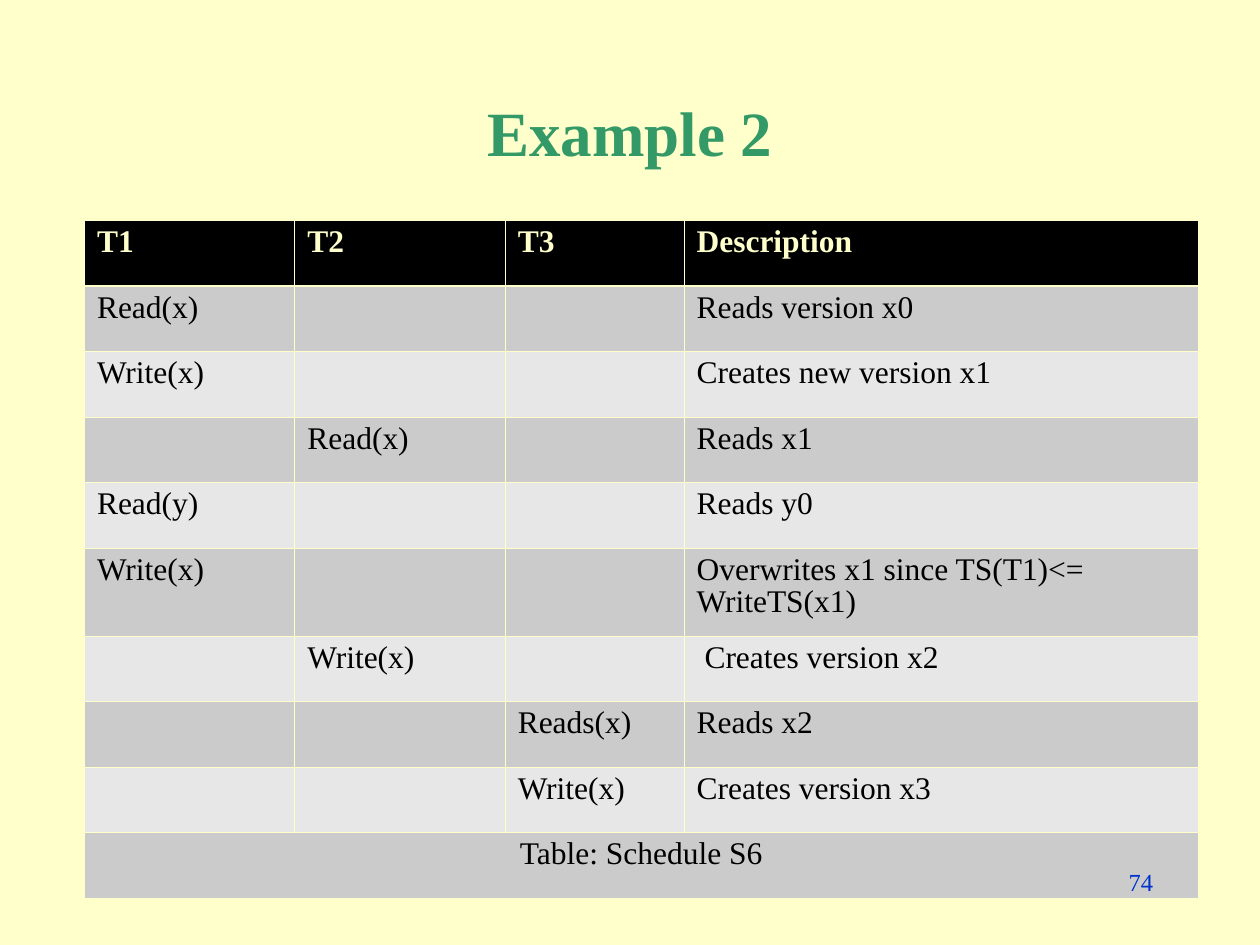
"""Build the slide with a table of schedule S6 under multiversion timestamps."""
from lxml.etree import SubElement
from pptx import Presentation
from pptx.dml.color import RGBColor
from pptx.enum.text import MSO_ANCHOR as Anchor, PP_ALIGN as Align
from pptx.oxml.ns import qn
from pptx.util import Inches, Pt

FONT = "Times New Roman"
CREAM = RGBColor(0xFF, 0xFF, 0xCC)
GREEN = RGBColor(0x33, 0x99, 0x66)
BLUE = RGBColor(0x00, 0x33, 0xCC)
BLACK = RGBColor(0x00, 0x00, 0x00)
BANDS = [RGBColor(0xE7, 0xE7, 0xE7), RGBColor(0xCB, 0xCB, 0xCB)]

TITLE = "Example 2"
NUMBER = "74"
ROWS = [
    ("T1", "T2", "T3", "Description"),
    ("Read(x)", "", "", "Reads version x0"),
    ("Write(x)", "", "", "Creates new version x1"),
    ("", "Read(x)", "", "Reads x1"),
    ("Read(y)", "", "", "Reads y0"),
    ("Write(x)", "", "", "Overwrites x1 since TS(T1)<= WriteTS(x1)"),
    ("", "Write(x)", "", " Creates version x2"),
    ("", "", "Reads(x)", "Reads x2"),
    ("", "", "Write(x)", "Creates version x3"),
    ("Table: Schedule S6", "", "", ""),
]
WIDTHS = [1.67, 1.67, 1.42, 4.08]
HIGH, TALL, TALL_ROW = 0.52, 0.7, 5
THIN, THICK = 0.45, 1.47


def write(frame, text, size, color, align=Align.LEFT, bold=False):
    par = frame.paragraphs[0]
    par.text = text
    par.alignment = align
    font = par.font
    font.name, font.size, font.bold = FONT, Pt(size), bold
    font.color.rgb = color
    return par


def border(cell, row):
    props = cell._tc.get_or_add_tcPr()
    thick = {0: "lnB", 1: "lnT"}.get(row)
    for side in ("lnL", "lnR", "lnT", "lnB"):
        width = THICK if side == thick else THIN
        line = SubElement(props, qn(f"a:{side}"), w=str(Pt(width)))
        fill = SubElement(line, qn("a:solidFill"))
        SubElement(fill, qn("a:srgbClr"), val=str(CREAM))


def add_grid(slide):
    heights = [TALL if r == TALL_ROW else HIGH for r in range(len(ROWS))]
    box = [Inches(v) for v in (0.67, 1.75, sum(WIDTHS), sum(heights))]
    table = slide.shapes.add_table(len(ROWS), len(WIDTHS), *box).table
    for col, width in zip(table.columns, WIDTHS):
        col.width = Inches(width)
    for row, height in zip(table.rows, heights):
        row.height = Inches(height)
    last = len(ROWS) - 1
    table.cell(last, 0).merge(table.cell(last, len(WIDTHS) - 1))
    for r, texts in enumerate(ROWS):
        head = r == 0
        for c, text in enumerate(texts):
            cell = table.cell(r, c)
            border(cell, r)
            cell.fill.solid()
            cell.fill.fore_color.rgb = BLACK if head else BANDS[r % 2]
            par = write(cell.text_frame, text, 18, CREAM if head else BLACK,
                        Align.CENTER if r == last else Align.LEFT, head)
            par.line_spacing = 0.93


def main():
    deck = Presentation()
    deck.slide_width, deck.slide_height = Inches(10), Inches(7.5)
    slide = deck.slides.add_slide(deck.slide_layouts[5])
    slide.background.fill.solid()
    slide.background.fill.fore_color.rgb = CREAM

    title = slide.shapes.title
    title.left, title.top = Inches(0.75), Inches(0.67)
    title.width, title.height = Inches(8.5), Inches(0.75)
    title.text_frame.vertical_anchor = Anchor.MIDDLE
    write(title.text_frame, TITLE, 36, GREEN, Align.CENTER, True)

    add_grid(slide)

    box = [Inches(v) for v in (7.17, 6.83, 2.08, 0.5)]
    number = slide.shapes.add_textbox(*box).text_frame
    number.word_wrap = True
    write(number, NUMBER, 14, BLUE, Align.RIGHT)
    deck.save("out.pptx")


if __name__ == "__main__":
    main()
